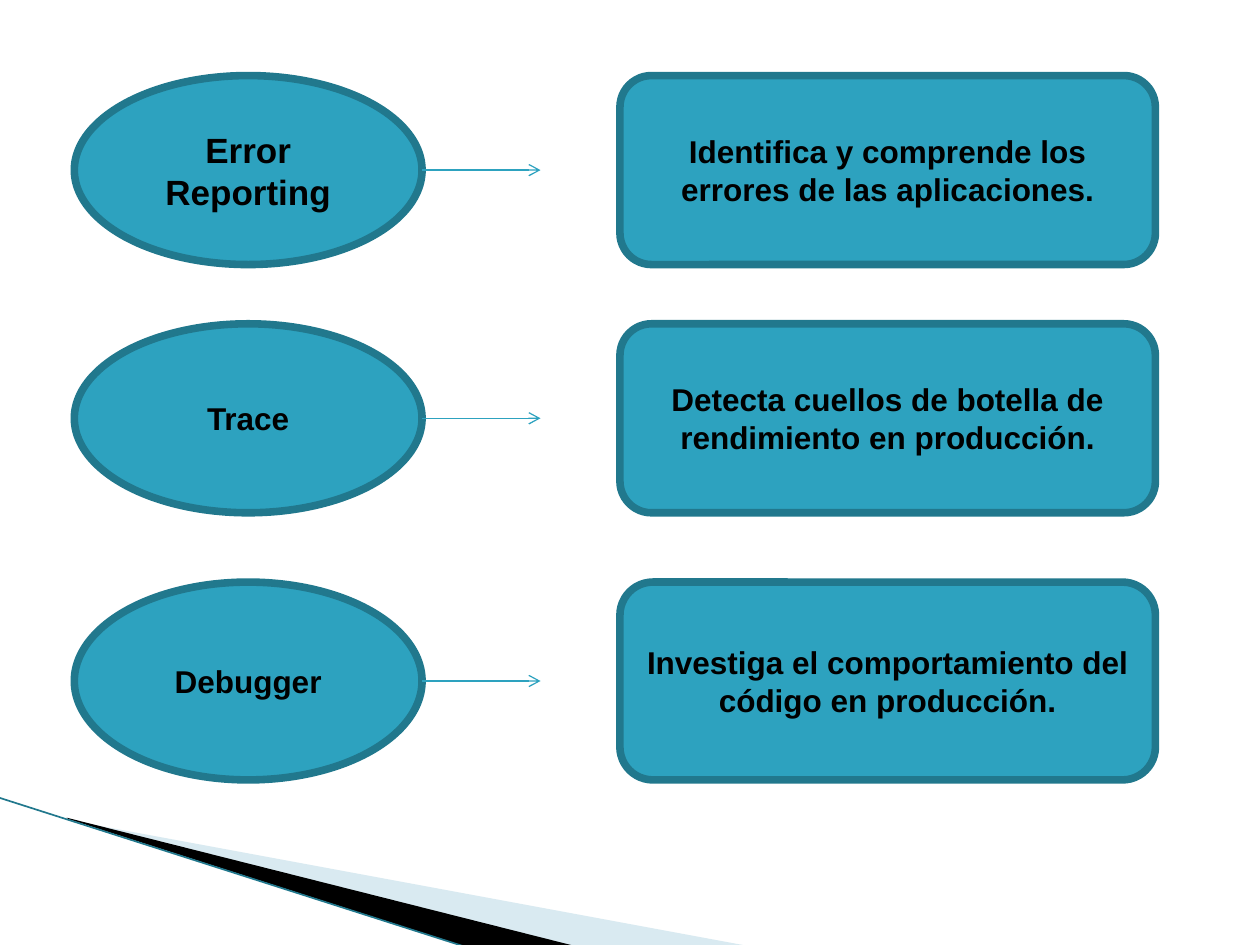
from lxml.etree import SubElement
from pptx import Presentation
from pptx.dml.color import RGBColor
from pptx.enum.shapes import MSO_CONNECTOR, MSO_SHAPE
from pptx.enum.text import MSO_ANCHOR, PP_ALIGN
from pptx.oxml.ns import qn
from pptx.util import Inches, Pt

COLORS = {"teal": "2DA2BF", "border": "21788D", "black": "000000", "pale": "A0CBDC"}

TOOLS = [
    {"name": "Error Reporting", "size": 20, "top": 0.6, "height": 1.5,
     "use": "Identifica y comprende los errores de las aplicaciones."},
    {"name": "Trace", "size": 18, "top": 2.57, "height": 1.5,
     "use": "Detecta cuellos de botella de rendimiento en producción."},
    {"name": "Debugger", "size": 18, "top": 4.62, "height": 1.57,
     "use": "Investiga el comportamiento del código en producción."},
]
WEDGES = [
    ("pale", 40, [(0.55, 6.51), (5.95, 7.51), (4.56, 7.51), (0.55, 6.5)]),
    ("black", 100, [(0.53, 6.49), (4.57, 7.51), (3.72, 7.52), (0.54, 6.5)]),
]
NAME_LEFT, NAME_WIDTH = 0.59, 2.76
USE_LEFT, USE_WIDTH = 4.92, 4.25
ARROW_LENGTH = 0.94


def color(name):
    return RGBColor.from_string(COLORS[name])


def write_text(shape, text, size=18, font="Arial", bold=True, fill="black"):
    frame = shape.text_frame
    frame.word_wrap = True
    frame.vertical_anchor = MSO_ANCHOR.MIDDLE
    paragraph = frame.paragraphs[0]
    paragraph.alignment = PP_ALIGN.CENTER
    span = paragraph.add_run()
    span.text = text
    span.font.name = font
    span.font.size = Pt(size)
    span.font.bold = bold
    span.font.color.rgb = color(fill)


def add_box(page, kind, left, top, width, height):
    box = page.shapes.add_shape(
        kind, Inches(left), Inches(top), Inches(width), Inches(height))
    box.shadow.inherit = False
    box.fill.solid()
    box.fill.fore_color.rgb = color("teal")
    box.line.color.rgb = color("border")
    box.line.width = Pt(4.33)
    return box


def add_line(page, start, end, stroke, width, arrow=False):
    line = page.shapes.add_connector(
        MSO_CONNECTOR.STRAIGHT, *(Inches(value) for value in (*start, *end)))
    line.line.color.rgb = color(stroke)
    line.line.width = Pt(width)
    if arrow:
        SubElement(line.line._get_or_add_ln(), qn("a:tailEnd"), type="arrow")
    SubElement(line._element.spPr, qn("a:effectLst"))


def add_wedge(page, fill, opacity, points):
    corners = [(Inches(x), Inches(y)) for x, y in points]
    builder = page.shapes.build_freeform(*corners[0])
    builder.add_line_segments(corners[1:], close=True)
    wedge = builder.convert_to_shape()
    wedge.shadow.inherit = False
    wedge.fill.solid()
    wedge.fill.fore_color.rgb = color(fill)
    wedge.line.fill.background()
    if opacity < 100:
        tint = wedge._element.spPr.find(qn("a:solidFill"))[0]
        SubElement(tint, qn("a:alpha"), val=str(opacity * 1000))


def main():
    deck = Presentation()
    deck.slide_width, deck.slide_height = Inches(10), Inches(7.5)
    page = deck.slides.add_slide(deck.slide_layouts[6])

    for wedge in WEDGES:
        add_wedge(page, *wedge)
    add_line(page, (-0.01, 6.33), (3.71, 7.52), "border", 0.95)

    for tool in TOOLS:
        top, height = tool["top"], tool["height"]
        name_box = add_box(page, MSO_SHAPE.OVAL, NAME_LEFT, top, NAME_WIDTH, height)
        write_text(name_box, tool["name"], size=tool["size"])
        use_box = add_box(
            page, MSO_SHAPE.ROUNDED_RECTANGLE, USE_LEFT, top, USE_WIDTH, height)
        write_text(use_box, tool["use"])
        start, middle = NAME_LEFT + NAME_WIDTH, top + height / 2
        add_line(page, (start, middle), (start + ARROW_LENGTH, middle),
                 "teal", 0.75, arrow=True)

    deck.save("out.pptx")


if __name__ == "__main__":
    main()
